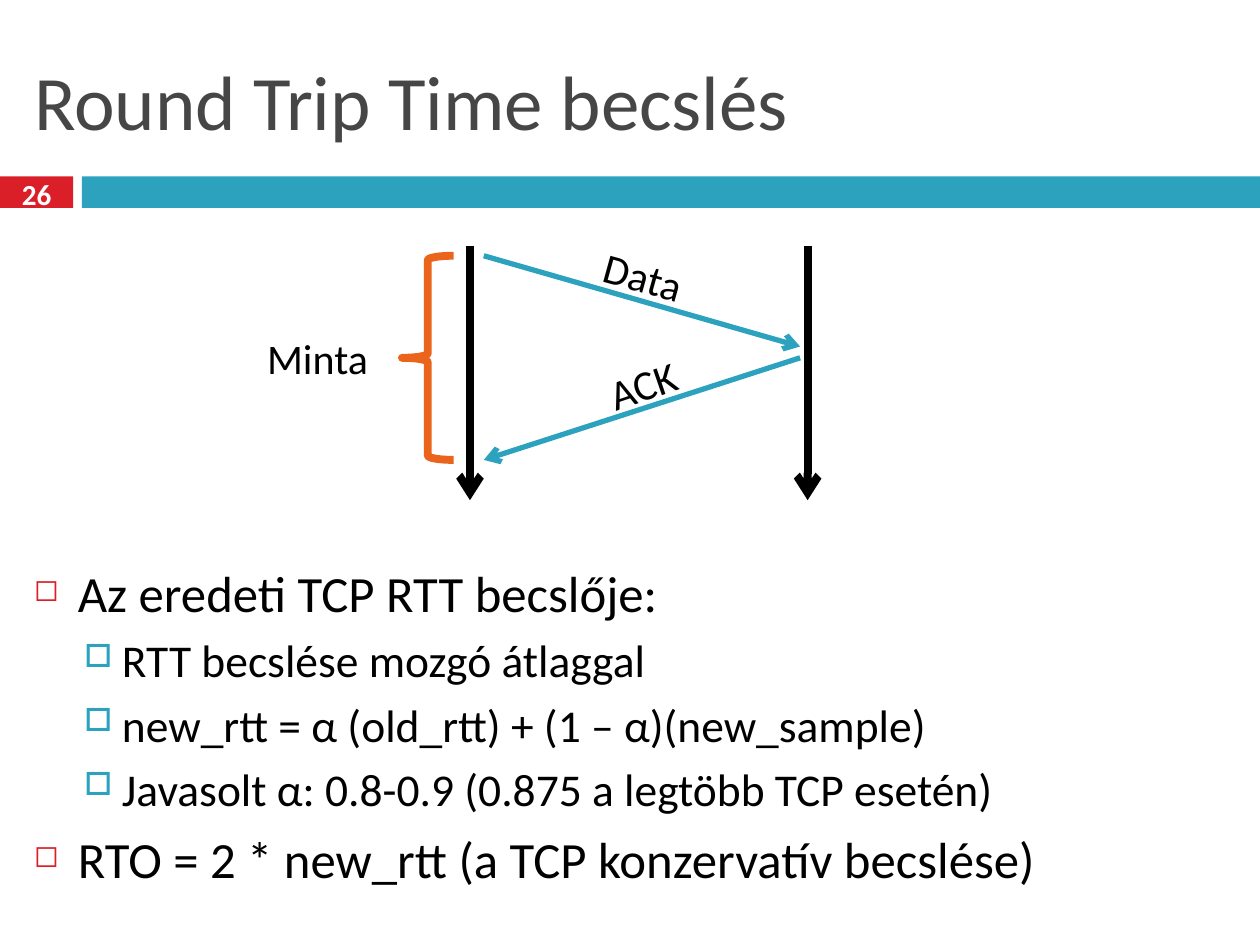
from dataclasses import dataclass

from lxml import etree
from pptx import Presentation
from pptx.dml.color import RGBColor
from pptx.enum.shapes import MSO_CONNECTOR, MSO_SHAPE
from pptx.enum.text import MSO_ANCHOR, PP_ALIGN
from pptx.oxml.ns import qn
from pptx.util import Inches, Pt

LEFT, CENTER = PP_ALIGN.LEFT, PP_ALIGN.CENTER
TOP, MIDDLE = MSO_ANCHOR.TOP, MSO_ANCHOR.MIDDLE
STRAIGHT = MSO_CONNECTOR.STRAIGHT
RECT, BRACE = MSO_SHAPE.RECTANGLE, MSO_SHAPE.LEFT_BRACE

FONT = "Calibri"
COLORS = {
    "red": "DA1F28",
    "teal": "2DA2BF",
    "orange": "EB641B",
    "title": "464646",
    "black": "000000",
    "white": "FFFFFF",
}


@dataclass
class Label:
    text: str
    box: tuple
    rotation: float = 0
    size: float = 24
    color: str = "black"
    bold: bool = False
    anchor: int = TOP


@dataclass
class Arrow:
    start: tuple
    end: tuple
    color: str
    width: float


@dataclass
class BulletStyle:
    size: float
    space_before: float
    margin: float
    indent: float
    char: str
    color: str
    percent: int


LEVELS = [
    BulletStyle(29, 7, 0.35, -0.35, "◻", "red", 60),
    BulletStyle(26, 5.5, 0.7, -0.3, "□", "teal", 70),
]

BULLETS = [
    (0, "Az eredeti TCP RTT becslője:"),
    (1, "RTT becslése mozgó átlaggal"),
    (1, "new_rtt = α (old_rtt) + (1 – α)(new_sample)"),
    (1, "Javasolt α: 0.8-0.9 (0.875 a legtöbb TCP esetén)"),
    (0, "RTO = 2 * new_rtt (a TCP konzervatív becslése)"),
]

SENDER_X, RECEIVER_X = 3.73, 6.41
SEND_X, RECEIVE_X = 3.84, 6.35
SAMPLE_TOP, SAMPLE_BOTTOM = 2.03, 3.65

ARROWS = [
    Arrow((SENDER_X, 1.95), (SENDER_X, 3.97), "black", 4.5),
    Arrow((RECEIVER_X, 1.95), (RECEIVER_X, 3.97), "black", 4.5),
    Arrow((SEND_X, SAMPLE_TOP), (RECEIVE_X, 2.75), "teal", 3),
    Arrow((RECEIVE_X, 2.84), (SEND_X, SAMPLE_BOTTOM), "teal", 3),
]

LABELS = [
    Label("26", (0, 1.37, 0.58, 0.33), size=16.6, color="white", bold=True, anchor=MIDDLE),
    Label("Data", (4.01, 1.94, 2.19, 0.5), rotation=15.6),
    Label("ACK", (4.52, 2.8, 1.16, 0.5), rotation=341),
    Label("Minta", (1.78, 2.59, 1.48, 0.5)),
]


def rgb(name: str) -> RGBColor:
    return RGBColor.from_string(COLORS[name])


def inches(values: tuple) -> list:
    return [Inches(v) for v in values]


def add_run(p, text: str, size: float, color: str, bold: bool = False) -> None:
    r = p.add_run()
    r.text = text
    for name, value in {"name": FONT, "size": Pt(size), "bold": bold}.items():
        setattr(r.font, name, value)
    r.font.color.rgb = rgb(color)


def add_bar(s, box: tuple, color: str) -> None:
    sp = s.shapes.add_shape(RECT, *inches(box))
    sp.shadow.inherit = False
    sp.fill.solid()
    sp.fill.fore_color.rgb = rgb(color)
    sp.line.fill.background()


def add_title(s, text: str) -> None:
    sp = s.shapes.title
    sp.left, sp.top, sp.width, sp.height = inches((0.17, 0.25, 9.67, 1.08))
    tf = sp.text_frame
    tf.vertical_anchor = MIDDLE
    p = tf.paragraphs[0]
    p.alignment = LEFT
    add_run(p, text, 44, "title")


def add_label(s, label: Label) -> None:
    sp = s.shapes.add_textbox(*inches(label.box))
    sp.rotation = label.rotation
    tf = sp.text_frame
    tf.word_wrap = True
    tf.vertical_anchor = label.anchor
    p = tf.paragraphs[0]
    p.alignment = CENTER
    add_run(p, label.text, label.size, label.color, label.bold)


def add_arrow(s, arrow: Arrow) -> None:
    c = s.shapes.add_connector(STRAIGHT, *inches(arrow.start + arrow.end))
    c.line.color.rgb = rgb(arrow.color)
    c.line.width = Pt(arrow.width)
    etree.SubElement(c.line._get_or_add_ln(), qn("a:tailEnd"), type="arrow")
    etree.SubElement(c._element.spPr, qn("a:effectLst"))


def add_brace(s) -> None:
    box = (3.19, SAMPLE_TOP, 0.41, SAMPLE_BOTTOM - SAMPLE_TOP)
    sp = s.shapes.add_shape(BRACE, *inches(box))
    sp.shadow.inherit = False
    sp.fill.background()
    sp.line.color.rgb = rgb("orange")
    sp.line.width = Pt(4.5)


def set_bullet(p, style: BulletStyle) -> None:
    p.space_before = Pt(style.space_before)
    pPr = p._p.get_or_add_pPr()
    pPr.set("marL", str(Inches(style.margin)))
    pPr.set("indent", str(Inches(style.indent)))
    clr = etree.SubElement(pPr, qn("a:buClr"))
    etree.SubElement(clr, qn("a:srgbClr"), val=COLORS[style.color])
    etree.SubElement(pPr, qn("a:buSzPct"), val=str(style.percent * 1000))
    etree.SubElement(pPr, qn("a:buChar"), char=style.char)


def add_bullets(s) -> None:
    tf = s.shapes.add_textbox(*inches((0.17, 4.41, 9.67, 2.93))).text_frame
    tf.word_wrap = True
    for i, (level, text) in enumerate(BULLETS):
        p = tf.add_paragraph() if i else tf.paragraphs[0]
        p.level = level
        set_bullet(p, LEVELS[level])
        add_run(p, text, LEVELS[level].size, "black")


def main() -> None:
    prs = Presentation()
    prs.slide_width, prs.slide_height = Inches(10), Inches(7.5)
    s = prs.slides.add_slide(prs.slide_layouts[5])
    add_bar(s, (0, 1.4, 0.58, 0.25), "red")
    add_bar(s, (0.65, 1.4, 9.35, 0.25), "teal")
    add_title(s, "Round Trip Time becslés")
    add_bullets(s)
    for arrow in ARROWS:
        add_arrow(s, arrow)
    add_brace(s)
    for label in LABELS:
        add_label(s, label)
    prs.save("out.pptx")


if __name__ == "__main__":
    main()
